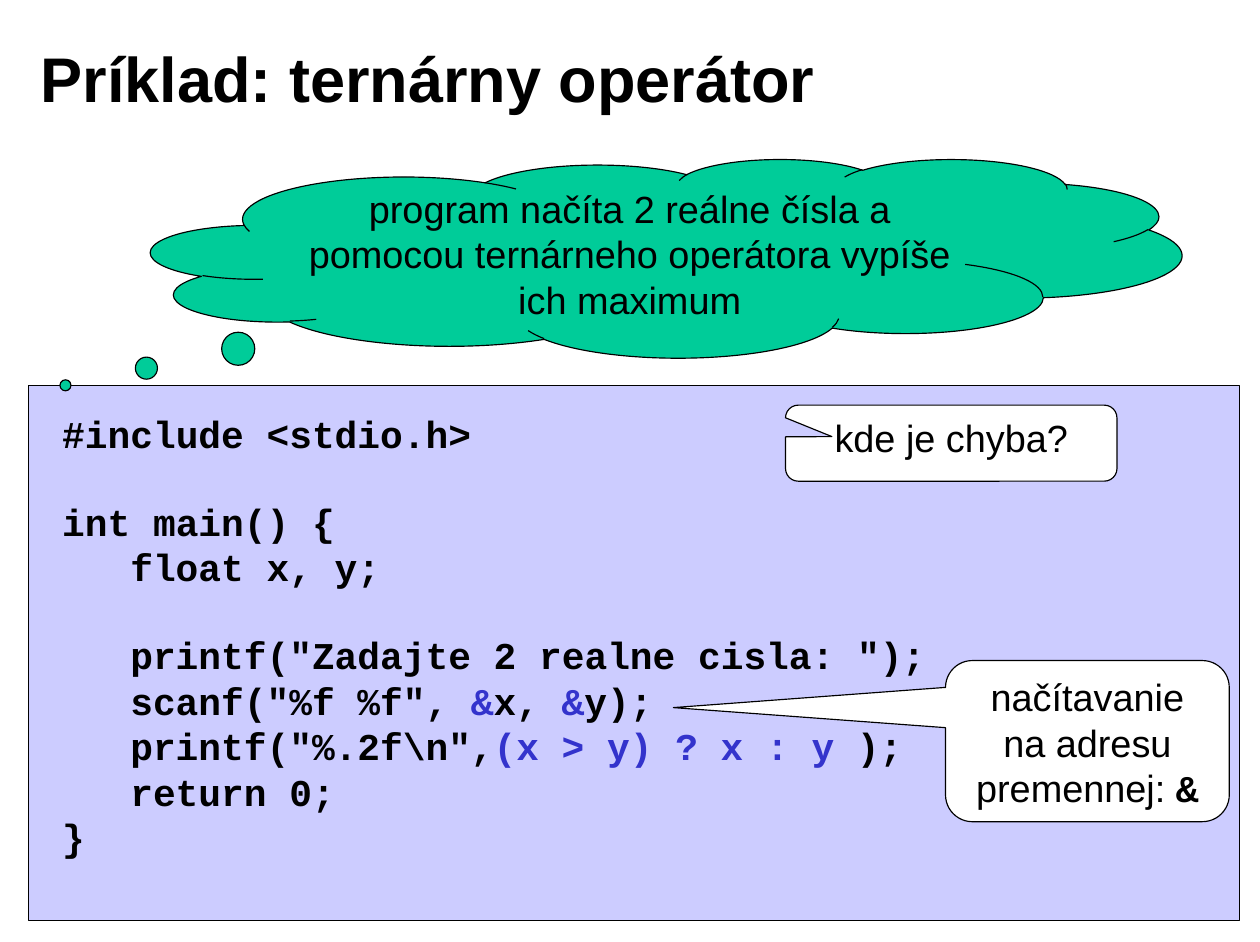
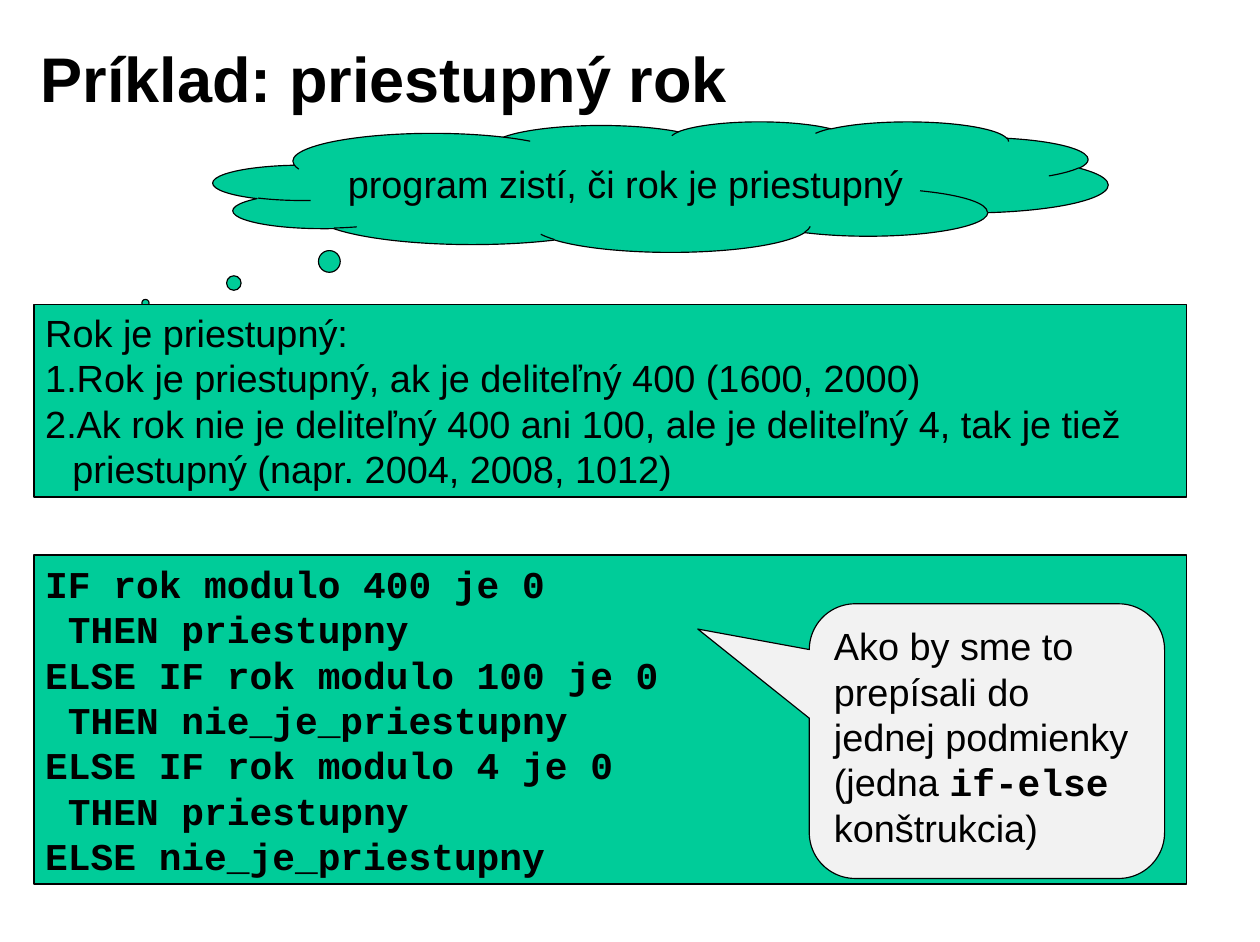
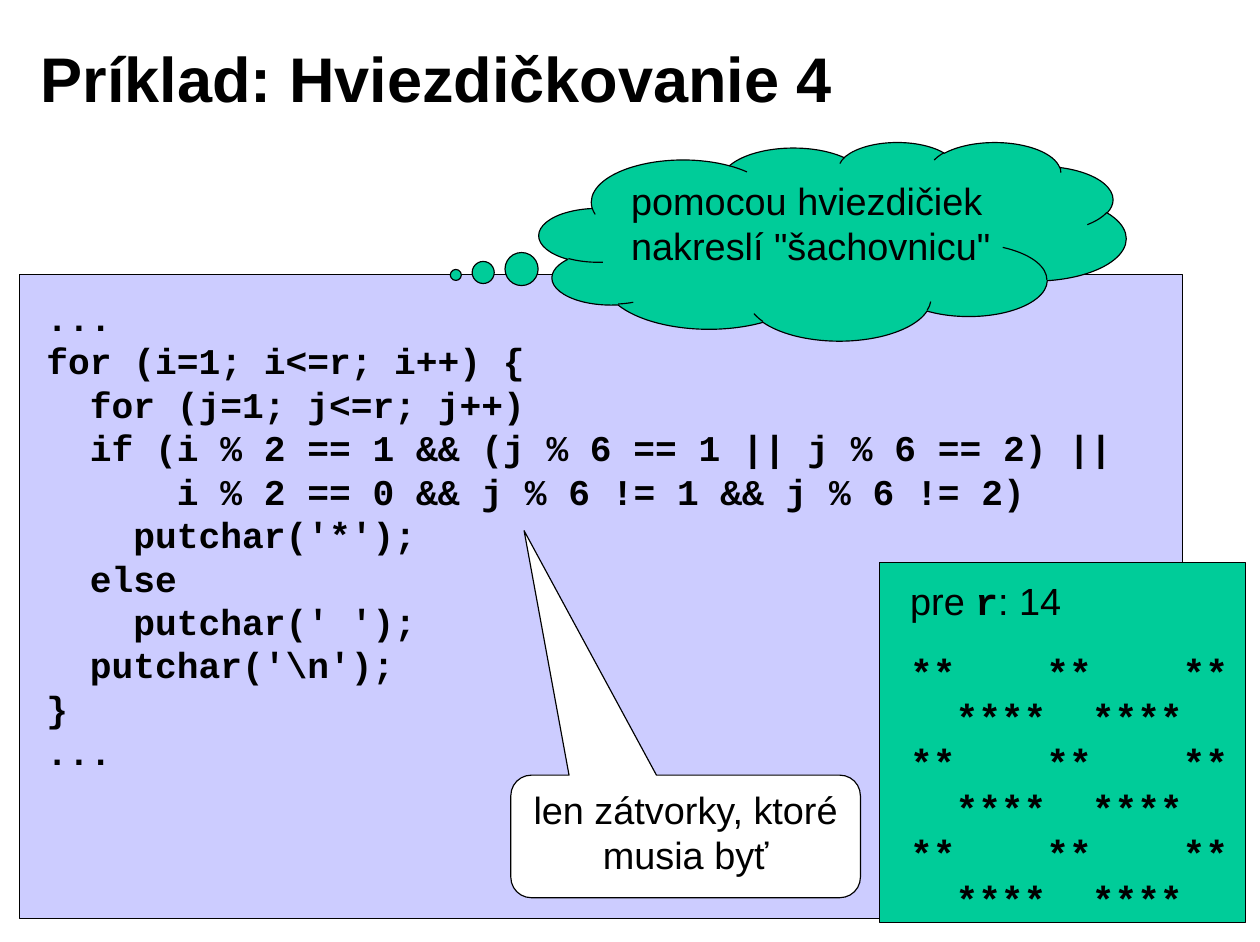
from lxml import etree
from pptx import Presentation
from pptx import util as u
from pptx.dml.color import RGBColor
from pptx.enum import shapes, text
from pptx.oxml import ns

BLACK = RGBColor(0x00, 0x00, 0x00)
WHITE = RGBColor(0xFF, 0xFF, 0xFF)
GREY = RGBColor(0xF2, 0xF2, 0xF2)
GREEN = RGBColor(0x00, 0xCC, 0x99)
LILAC = RGBColor(0xCC, 0xCC, 0xFF)
BLUE = RGBColor(0x33, 0x33, 0xCC)

SANS = "Arial"
MONO = "Courier New"
SIZE = 24
CHAR = 0.6  # width of a monospaced character, in ems

KIND = shapes.MSO_SHAPE
TOP = text.MSO_ANCHOR.TOP
MID = text.MSO_ANCHOR.MIDDLE
LEFT = text.PP_ALIGN.LEFT
MIDDLE = text.PP_ALIGN.CENTER


class Deck:
    """Holds the shared style and the slide being filled."""

    def __init__(self):
        self.prs = Presentation()
        self.prs.slide_width = u.Inches(11.1)
        self.prs.slide_height = u.Inches(8.3)
        self.slide = None

    def page(self, title):
        self.slide = self.prs.slides.add_slide(self.prs.slide_layouts[5])
        box = self.slide.shapes.title
        box.left, box.top, box.width, box.height = map(
            u.Inches, (0.25, 0.17, 8.92, 1.02))
        self.frame(box, MID, 0.11, 0.06)
        para = box.text_frame.paragraphs[0]
        para.text = title
        para.alignment = LEFT
        self.font(para.runs[0], SANS, 40, True)

    def frame(self, box, anchor=TOP, side=0.1, edge=0.05):
        body = box.text_frame
        body.word_wrap = True
        body.auto_size = text.MSO_AUTO_SIZE.NONE
        body.vertical_anchor = anchor
        body.margin_left = body.margin_right = u.Inches(side)
        body.margin_top = body.margin_bottom = u.Inches(edge)

    def font(self, run, name, size, bold, color=BLACK):
        run.font.name = name
        run.font.size = u.Pt(size)
        run.font.bold = bold
        run.font.color.rgb = color

    def fill(self, box, lines, code=False, size=SIZE, align=LEFT):
        """Put lines in a box; a number among them is a gap in points.

        Backticks mark code in prose, and highlighted parts in code.
        Leading spaces become an indent of as many characters.
        """
        para, gap = None, 0
        for line in lines:
            if not isinstance(line, str):
                gap = line
                continue
            body = box.text_frame
            para = body.add_paragraph() if para else body.paragraphs[0]
            para.alignment = align
            para.space_before, gap = u.Pt(gap), 0
            bare = line.lstrip(" ")
            self.indent(para, (len(line) - len(bare)) * CHAR * size / 72)
            for i, part in enumerate(bare.split("`")):
                if part:
                    run = para.add_run()
                    run.text = part
                    mark = i % 2 == 1
                    mono = code or mark
                    self.font(run, MONO if mono else SANS, size, mono,
                              BLUE if code and mark else BLACK)

    def indent(self, para, left, first=0):
        props = para._p.get_or_add_pPr()
        props.set("marL", str(u.Inches(left)))
        props.set("indent", str(u.Inches(first)))
        return props

    def number(self, paras):
        for para in paras:
            props = self.indent(para, 0.24, -0.24)
            etree.SubElement(props, ns.qn("a:buAutoNum"), type="arabicPeriod")

    def shape(self, kind, at, color, lines=(), anchor=TOP, adj=(), **style):
        box = self.slide.shapes.add_shape(kind, *map(u.Inches, at))
        box.shadow.inherit = False
        box.fill.solid()
        box.fill.fore_color.rgb = color
        box.line.color.rgb = BLACK
        box.line.width = u.Pt(0.75)
        for i, val in enumerate(adj):
            box.adjustments[i] = val
        self.frame(box, anchor)
        self.fill(box, lines, **style)
        return box

    def panel(self, at, color, lines=(), **style):
        return self.shape(KIND.RECTANGLE, at, color, lines, **style)

    def cloud(self, at, tip, line, anchor=MID, align=LEFT):
        self.shape(KIND.CLOUD_CALLOUT, at, GREEN, [6, line], anchor, tip,
                   align=align)

    def note(self, at, tip, line, color=WHITE, align=MIDDLE):
        self.shape(KIND.ROUNDED_RECTANGULAR_CALLOUT, at, color, [line],
                   adj=(*tip, 0.167), align=align)

    def label(self, at, lines, **style):
        box = self.slide.shapes.add_textbox(*map(u.Inches, at))
        self.frame(box)
        self.fill(box, lines, **style)


def ternary(deck):
    deck.page("Príklad: ternárny operátor")
    deck.panel((0.25, 3.4, 10.67, 4.71), LILAC)
    deck.note((8.33, 5.82, 2.5, 1.42), (-1.459, -0.208),
              "načítavanie na adresu premennej: `&`")
    deck.label((0.45, 3.57, 8, 4.1), [
        "#include <stdio.h>",
        27,
        "int main() {",
        "   float x, y;",
        27,
        '   printf("Zadajte 2 realne cisla: ");',
        '   scanf("%f %f", `&`x, `&`y);',
        r'   printf("%.2f\n",`(x > y) ? x : y` );',
        "   return 0;",
        "}",
    ], code=True)
    deck.cloud((1.33, 1.4, 9.08, 1.75), (-0.583, 0.64),
               "program načíta 2 reálne čísla a pomocou ternárneho "
               "operátora vypíše ich maximum", align=MIDDLE)
    deck.note((6.92, 3.57, 2.92, 0.67), (-0.36, -0.086), "kde je chyba?")


def leap(deck):
    deck.page("Príklad: priestupný rok")
    deck.cloud((1.88, 1.07, 7.88, 1.15), (-0.576, 0.891),
               "program zistí, či rok je priestupný")
    rules = deck.panel((0.3, 2.68, 10.15, 1.7), GREEN, [
        "Rok je priestupný:",
        "Rok je priestupný, ak je deliteľný 400 (1600, 2000)",
        "Ak rok nie je deliteľný 400 ani 100, ale je deliteľný 4, "
        "tak je tiež priestupný (napr. 2004, 2008, 1012)",
    ])
    deck.number(rules.text_frame.paragraphs[1:])
    deck.panel((0.3, 4.89, 10.15, 2.9), GREEN, [
        "IF rok modulo 400 je 0",
        " THEN priestupny",
        "ELSE IF rok modulo 100 je 0",
        " THEN nie_je_priestupny",
        "ELSE IF rok modulo 4 je 0",
        " THEN priestupny",
        "ELSE nie_je_priestupny",
    ], code=True)
    deck.note((7.13, 5.32, 3.13, 2.42), (-0.814, -0.408),
              "Ako by sme to prepísali do jednej podmienky "
              "(jedna `if-else` konštrukcia)", GREY, LEFT)


def stars(deck):
    deck.page("Príklad: Hviezdičkovanie 4")
    deck.panel((0.17, 2.42, 10.25, 5.67), LILAC)
    deck.label((0.31, 2.55, 10, 4.7), [
        "...",
        "for (i=1; i<=r; i++) {",
        "  for (j=1; j<=r; j++)",
        "  if (i % 2 == 1 && (j % 6 == 1 || j % 6 == 2) ||",
        "      i % 2 == 0 && j % 6 != 1 && j % 6 != 2)",
        "    putchar('*');",
        "  else",
        "    putchar(' ');",
        r"  putchar('\n');",
        "}",
        "...",
    ], code=True, size=23)
    deck.cloud((4.75, 1.25, 5.17, 1.75), (-0.642, 0.17),
               'pomocou hviezdičiek nakreslí "šachovnicu"', TOP)
    deck.panel((7.75, 4.96, 3.22, 3.17), GREEN)
    rows = ["`**    **    **`", "  `****  ****`"] * 3
    deck.label((7.92, 5.04, 3.1, 3.14), ["pre `r`: 14", 16, *rows])
    deck.note((4.5, 6.83, 3.08, 1.08), (-0.462, -2.495),
              "len zátvorky, ktoré musia byť")


def main():
    deck = Deck()
    for build in (ternary, leap, stars):
        build(deck)
    deck.prs.save("out.pptx")


if __name__ == "__main__":
    main()
